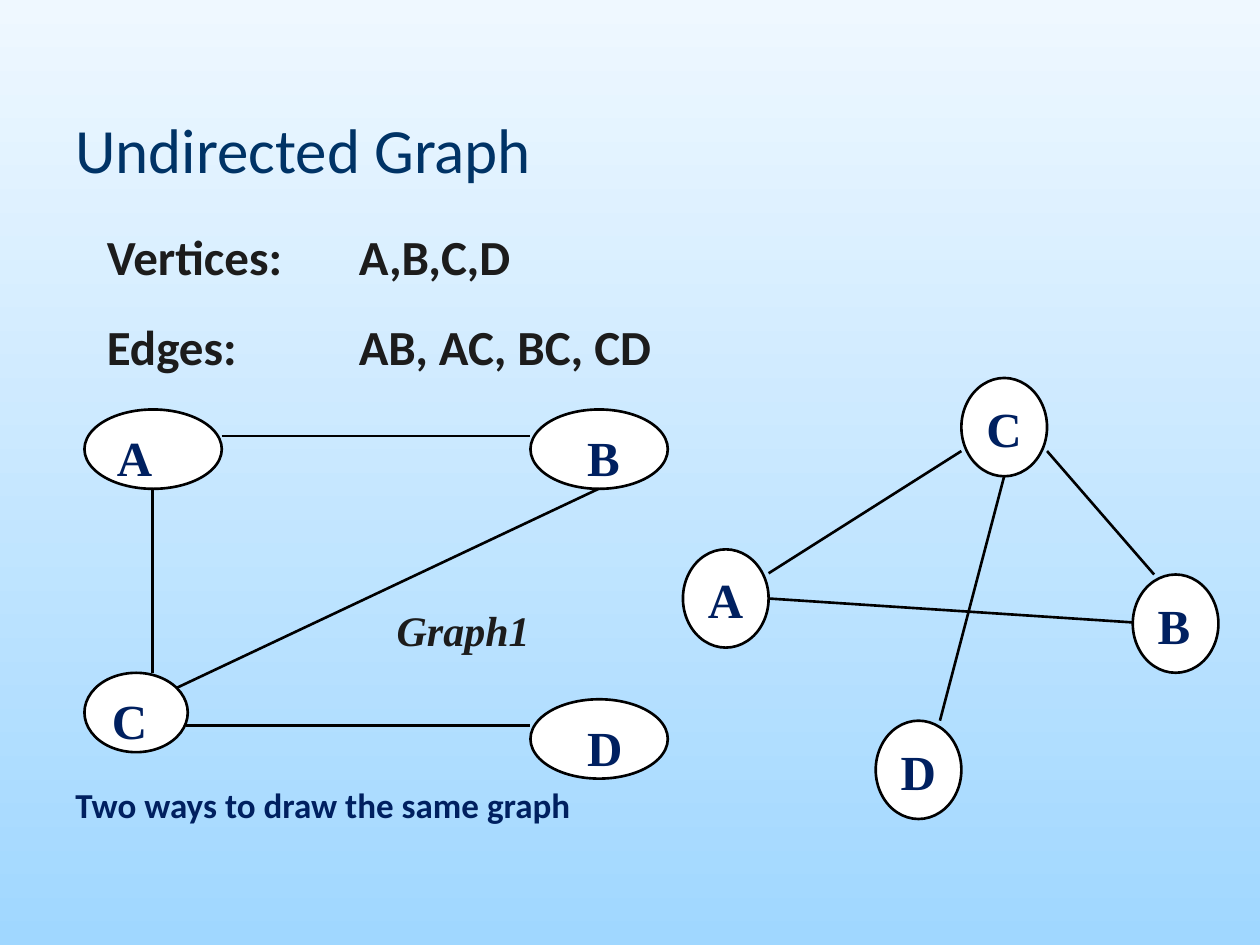
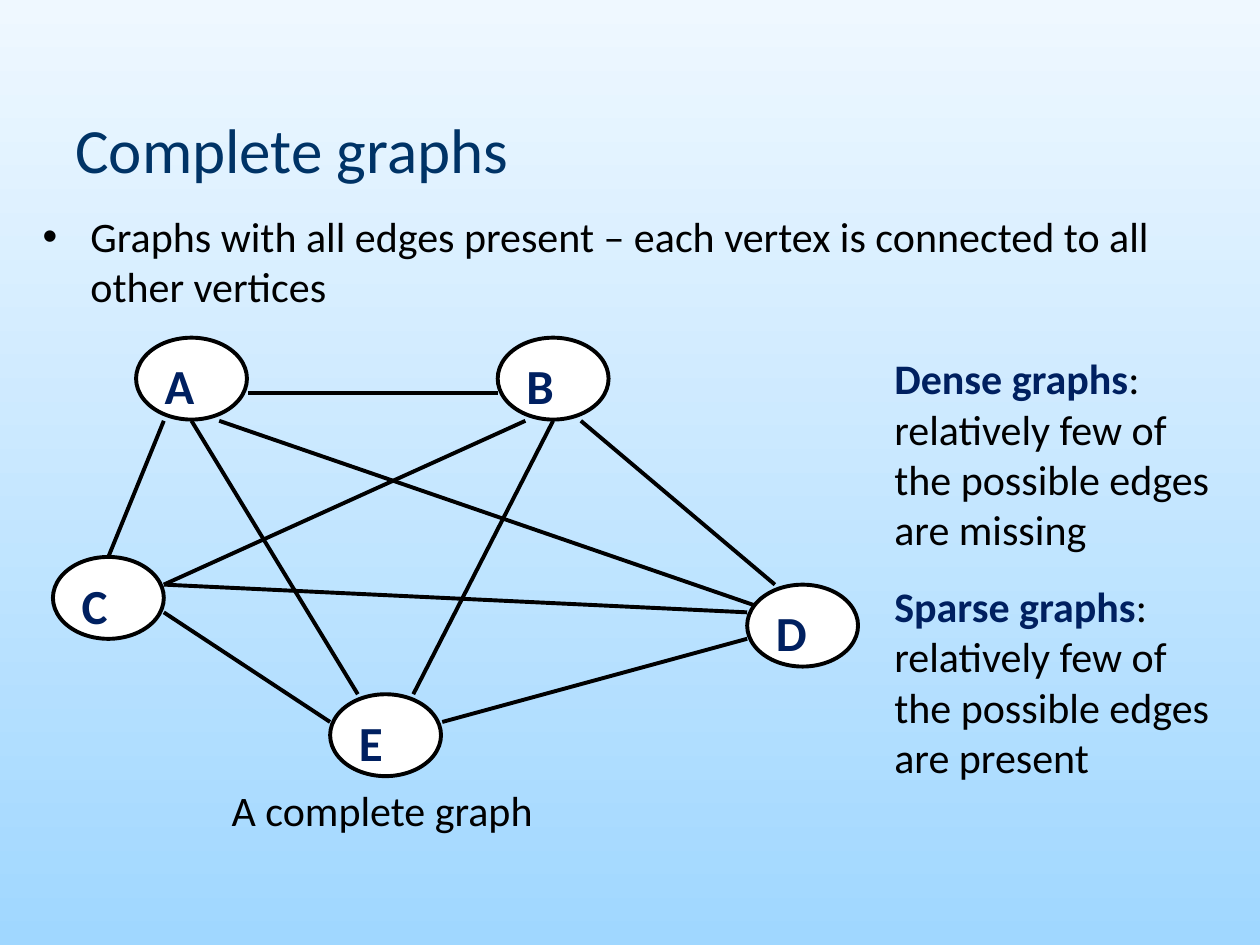
"""Build two slides on undirected and complete graphs."""
from lxml.etree import SubElement as Sub
from pptx import Presentation
from pptx.dml.color import RGBColor as Rgb
from pptx.enum.shapes import MSO_CONNECTOR as Link, MSO_SHAPE as Form
from pptx.enum.text import MSO_ANCHOR as Anchor, PP_ALIGN as Align
from pptx.oxml.ns import qn
from pptx.util import Inches, Pt

NAVY, BLUE, GREY, BLACK, WHITE = "002060", "003366", "1C1C1C", "000000", "FFFFFF"
SANS, SERIF = "Calibri", "Times New Roman"


def tint(code):
    return Rgb.from_string(code)


def write(frame, paras, base, gap=0, anchor=Anchor.TOP):
    """Fill a frame with paragraphs of (text, format) runs."""
    frame.word_wrap = True
    frame.vertical_anchor = anchor
    for num, runs in enumerate(paras):
        para = frame.add_paragraph() if num else frame.paragraphs[0]
        para.alignment = Align.LEFT
        if num:
            para.space_before = Pt(gap)
        for text, more in runs:
            run = para.add_run()
            run.text = text
            for key, val in {**base, **more}.items():
                if key == "color":
                    run.font.color.rgb = tint(val)
                else:
                    setattr(run.font, key, val)


title = dict(name=SANS, size=Pt(36), color=BLUE)
plain = dict(name=SANS, size=Pt(24), color=BLACK)
facts = dict(name=SANS, size=Pt(28), color=GREY, bold=True)
label = dict(name=SERIF, size=Pt(24), color=GREY, bold=True, italic=True)
note = dict(name=SANS, size=Pt(20), color=NAVY, bold=True)
term = dict(color=NAVY, bold=True)

kinds = [[(kind + " graphs", term),
          (": relatively few of the possible edges are " + state, {})]
         for kind, state in (("Dense", "missing"), ("Sparse", "present"))]

wide, tall, oval = (1.09, 0.63), (0.68, 0.78), (0.88, 0.65)
pages = [
    dict(
        head="Undirected Graph", font=SERIF, line=1.5,
        texts=[
            ((3.05, 4.75, 2, 0.5), [[("Graph1", {})]], label, 0),
            ((0.75, 1.75, 5.33, 1.28),
             [[("Vertices:\tA,B,C,D", {})], [("Edges:\tAB, AC, BC, CD", {})]],
             facts, 17.5),
            ((0.5, 6.17, 6.5, 0.44),
             [[("Two ways to draw the same graph", {})]], note, 0),
        ],
        graphs=[
            ([("A", 0.67, 3.25, wide, 0.1), ("B", 4.21, 3.25, wide, 0.29),
              ("C", 0.67, 5.34, (0.82, 0.63), 0.1), ("D", 4.21, 5.55, wide, 0.29)],
             [(4.75, 3.88, 1.21, 5.55), (1.76, 3.46, 4.21, 3.46),
              (1.21, 3.88, 1.21, 5.34), (1.48, 5.76, 4.21, 5.76)]),
            ([("A", 5.42, 4.36, tall, 0.1), ("C", 7.63, 3, tall, 0.1),
              ("B", 8.99, 4.56, tall, 0.1), ("D", 6.95, 5.72, tall, 0.1)],
             [(6.1, 4.75, 8.99, 4.94), (6.1, 4.55, 7.63, 3.58),
              (8.31, 3.58, 9.16, 4.56), (7.97, 3.78, 7.46, 5.72)]),
        ]),
    dict(
        head="Complete graphs", font=SANS, line=2.25,
        texts=[
            ((0.24, 1.62, 9.17, 4.95),
             [[("Graphs with all edges present – each vertex is connected "
                "to all other vertices", {})]], plain, 0),
            ((7, 2.75, 2.83, 3.51), kinds, plain, 15),
            ((1.74, 6.18, 3, 0.5), [[("A complete graph", {})]], plain, 0),
        ],
        graphs=[
            ([("A", 1.08, 2.68, oval, 0.1), ("B", 3.95, 2.68, oval, 0.1),
              ("C", 0.42, 4.42, oval, 0.1), ("D", 5.93, 4.64, oval, 0.1),
              ("E", 2.62, 5.51, oval, 0.1)],
             [(1.74, 3.34, 6.15, 4.86), (1.97, 3.12, 3.95, 3.12),
              (1.3, 3.34, 0.86, 4.42), (1.3, 4.86, 2.62, 5.73),
              (1.3, 4.64, 4.17, 3.34), (1.3, 4.64, 5.93, 4.86),
              (4.61, 3.34, 6.15, 4.64), (3.51, 5.73, 5.93, 5.07),
              (1.52, 3.34, 2.84, 5.51), (4.39, 3.34, 3.28, 5.51)]),
        ]),
]

deck = Presentation()
deck.slide_width, deck.slide_height = Inches(10), Inches(7.5)

for page in pages:
    slide = deck.slides.add_slide(deck.slide_layouts[6])
    back = slide.background.fill
    back.gradient()
    back.gradient_angle = 270
    for stop, code in zip(back.gradient_stops, ("EFF8FF", "A0D7FF")):
        stop.color.rgb = tint(code)

    head = slide.shapes.add_textbox(*map(Inches, (0.5, 0.8, 9, 0.75)))
    write(head.text_frame, [[(page["head"], {})]], title, anchor=Anchor.MIDDLE)

    for place, paras, base, gap in page["texts"]:
        box = slide.shapes.add_textbox(*map(Inches, place))
        write(box.text_frame, paras, base, gap)
        for para in box.text_frame.paragraphs:
            props = para._p.get_or_add_pPr()
            if "\t" in para.text:
                tabs = Sub(props, qn("a:tabLst"))
                Sub(tabs, qn("a:tab"), pos=str(Inches(2)), algn="l")
            if para.text.startswith("Graphs with"):
                props.set("marL", str(Inches(0.38)))
                props.set("indent", str(Inches(-0.38)))
                Sub(props, qn("a:buFont"), typeface="Arial")
                Sub(props, qn("a:buChar"), char="•")

    for nodes, edges in page["graphs"]:
        group = slide.shapes.add_group_shape().shapes
        for ends in edges:
            edge = group.add_connector(Link.STRAIGHT, *map(Inches, ends))
            edge.line.color.rgb = tint(BLACK)
            edge.line.width = Pt(page["line"])
            Sub(edge._element.spPr, qn("a:effectLst"))
        for name, left, top, size, inset in nodes:
            node = group.add_shape(Form.OVAL, *map(Inches, (left, top, *size)))
            node.shadow.inherit = False
            node.fill.solid()
            node.fill.fore_color.rgb = tint(WHITE)
            node.line.color.rgb = tint(BLACK)
            node.line.width = Pt(page["line"])
            node.text_frame.margin_left = Inches(inset)
            write(node.text_frame, [[(name, {})]],
                  dict(name=page["font"], size=Pt(28), color=NAVY, bold=True))

deck.save("out.pptx")
